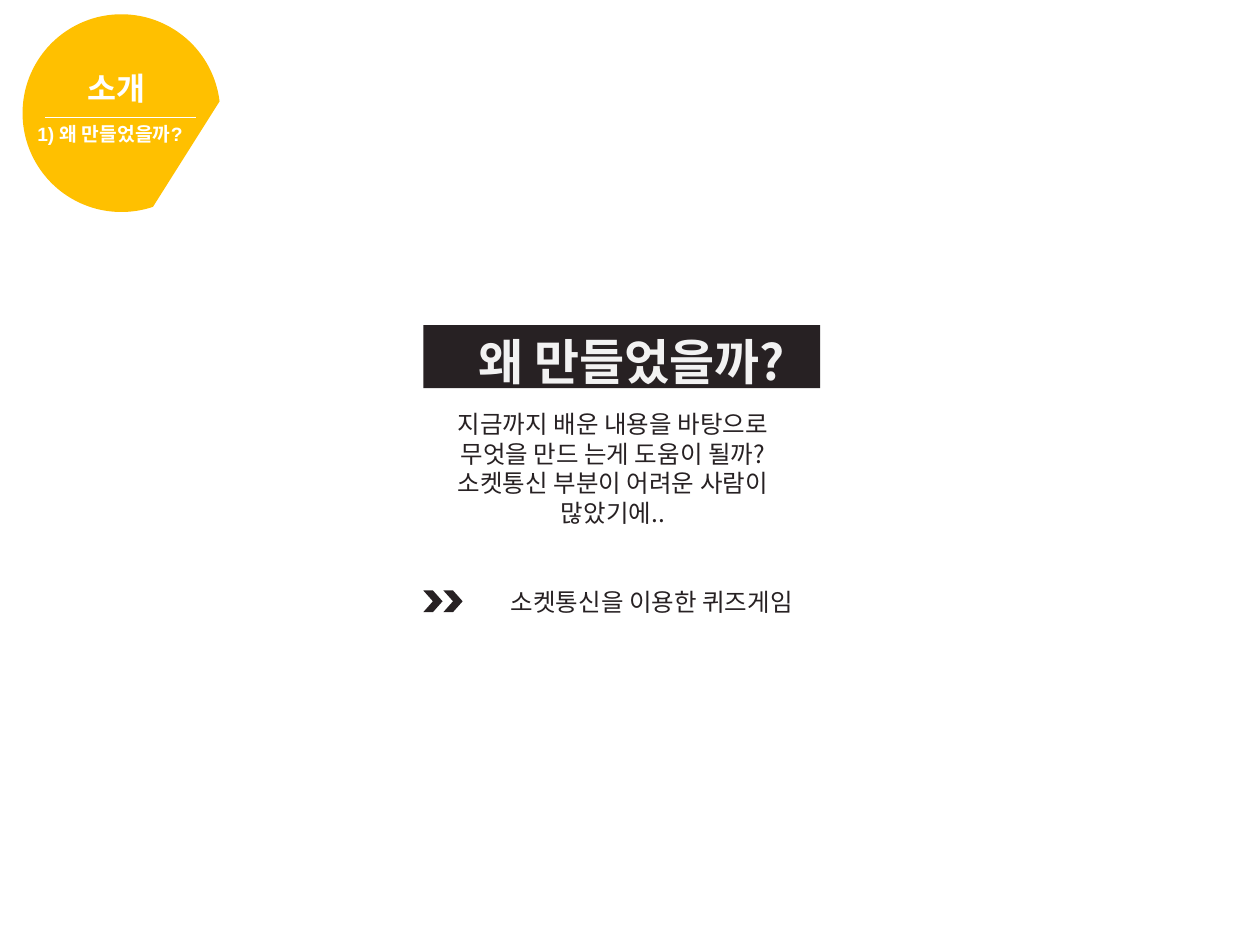
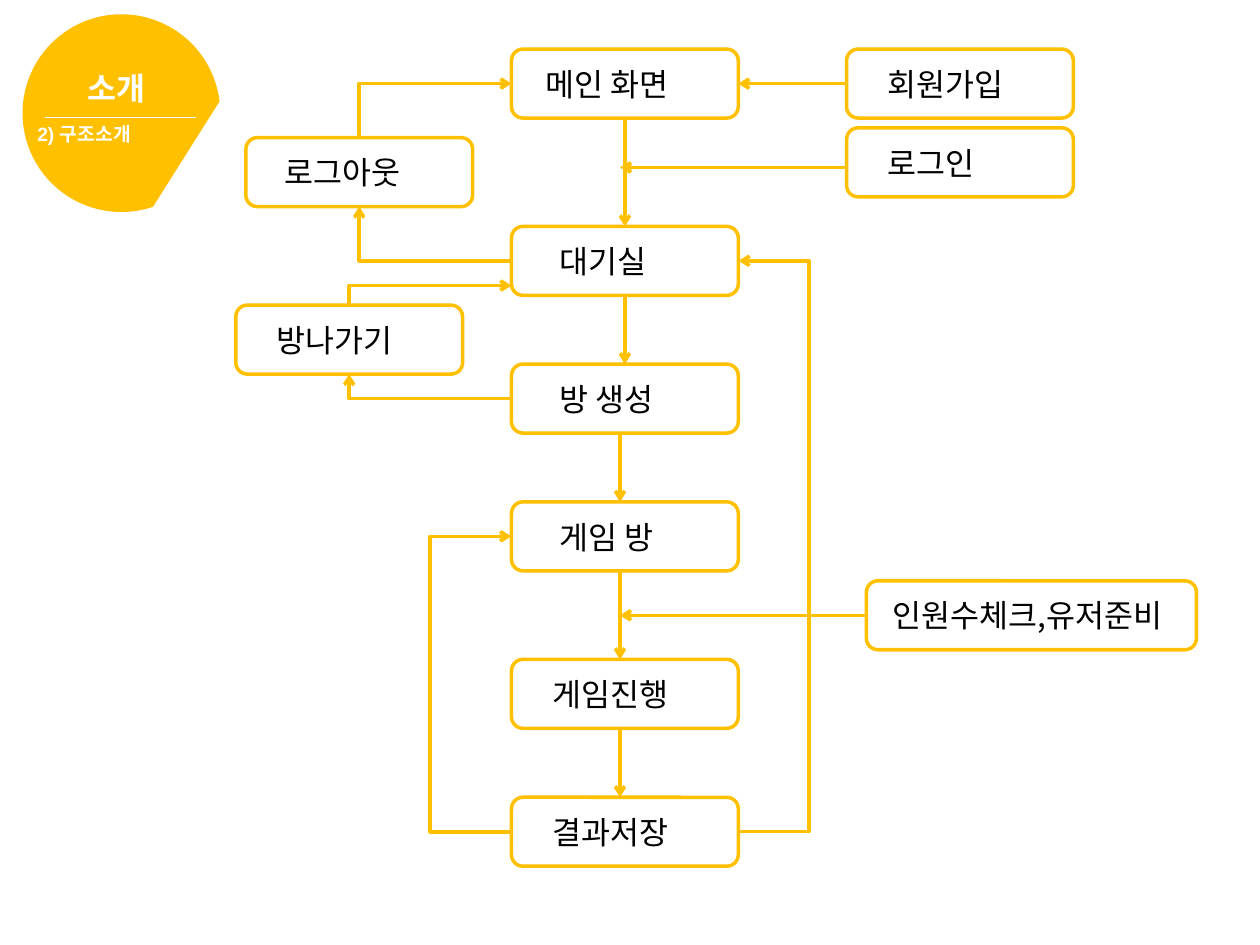
from lxml.etree import SubElement
from pptx import Presentation
from pptx.dml.color import RGBColor
from pptx.enum.shapes import MSO_CONNECTOR, MSO_SHAPE
from pptx.enum.text import MSO_AUTO_SIZE, PP_ALIGN
from pptx.oxml.ns import qn
from pptx.util import Pt

AMBER, INK, WHITE, BLACK, PALE = "FFC000", "272123", "FFFFFF", "000000", "F2F2F2"
KOREAN, LATIN = "Noto Sans CJK KR", "Arial"
TOP, LEFT, BOTTOM, RIGHT = range(4)
NODE_WIDTH, NODE_HEIGHT = 129.6, 39.4
LOOP_STEP = 0.17


def color(value):
    return RGBColor.from_string(value)


class SlideBuilder:
    def __init__(self):
        self.deck = Presentation()
        self.deck.slide_width, self.deck.slide_height = Pt(720), Pt(540)
        self.page = None

    def add_page(self, subtitle, subtitle_width):
        self.page = self.deck.slides.add_slide(self.deck.slide_layouts[6])
        badge = self.shape(MSO_SHAPE.CHORD, 12.9, 8.2, 113, 113, fill=AMBER)
        badge.adjustments[0], badge.adjustments[1] = 33.82, 202.9
        badge.rotation = 15
        self.text(["소개"], 42.7, 36, 51, 29, 18, WHITE, bold=True, wrap=False)
        self.text([subtitle], 14.2, 66.2, subtitle_width, 20.6, 11, WHITE,
                  font=LATIN, bold=True, wrap=False)
        self.line((25.5, 67.2), (111.8, 67.2), WHITE, 0.75)

    def shape(self, kind, left, top, width, height, fill=None, outline=None):
        shape = self.page.shapes.add_shape(kind, Pt(left), Pt(top), Pt(width), Pt(height))
        shape.shadow.inherit = False
        if fill:
            shape.fill.solid()
            shape.fill.fore_color.rgb = color(fill)
        else:
            shape.fill.background()
        if outline:
            shape.line.color.rgb = color(outline)
            shape.line.width = Pt(2)
        else:
            shape.line.fill.background()
        return shape

    def text(self, lines, left, top, width, height, size, ink, font=KOREAN,
             bold=False, wrap=True, align=PP_ALIGN.LEFT, indent=0):
        box = self.page.shapes.add_textbox(Pt(left), Pt(top), Pt(width), Pt(height))
        frame = box.text_frame
        frame.word_wrap = wrap
        frame.auto_size = MSO_AUTO_SIZE.SHAPE_TO_FIT_TEXT
        frame.margin_left = Pt(7.2 + indent)
        frame.text = "\n".join(lines)
        for para in frame.paragraphs:
            para.alignment = align
            para.font.size = Pt(size)
            para.font.bold = bold
            para.font.color.rgb = color(ink)
            para.font.name = font
            SubElement(para._p.pPr.find(qn("a:defRPr")), qn("a:ea"), typeface=KOREAN)

    def line(self, begin, end, ink=AMBER, width=2, kind=MSO_CONNECTOR.STRAIGHT, arrow=None):
        connector = self.page.shapes.add_connector(kind, *map(Pt, begin + end))
        connector.line.color.rgb = color(ink)
        connector.line.width = Pt(width)
        properties = connector._element.spPr
        if arrow:
            SubElement(properties.find(qn("a:ln")), qn("a:" + arrow), type="arrow")
        SubElement(properties, qn("a:effectLst"))
        return connector

    def arrow(self, begin, end, source=None, target=None):
        connector = self.line(begin, end, arrow="tailEnd")
        if source:
            connector.begin_connect(*source)
        if target:
            connector.end_connect(*target)

    def corner(self, begin, end, arrow):
        connector = self.line(begin, end, kind=MSO_CONNECTOR.ELBOW, arrow=arrow)
        connector._element.spPr.find(qn("a:prstGeom")).set("prst", "bentConnector2")

    def loop(self, x, begin_y, end_y, reach):
        step = LOOP_STEP if reach > 0 else -LOOP_STEP
        connector = self.line((x, begin_y), (x + step, end_y),
                              kind=MSO_CONNECTOR.ELBOW, arrow="tailEnd")
        guides = connector._element.spPr.find(qn("a:prstGeom")).get_or_add_avLst()
        SubElement(guides, qn("a:gd"), name="adj1", fmla=f"val {round(reach / step * 100000)}")

    def node(self, label, left, top, indent, width=NODE_WIDTH):
        box = self.shape(MSO_SHAPE.ROUNDED_RECTANGLE, left, top, width, NODE_HEIGHT, outline=AMBER)
        self.text([label], left, top + 5.4, width, 29, 18, BLACK, indent=indent)
        return box


def build_reason(builder):
    builder.add_page("1) 왜 만들었을까?", 104.4)
    builder.shape(MSO_SHAPE.RECTANGLE, 241.9, 185.8, 226.8, 36, fill=INK)
    builder.text(["왜 만들었을까?"], 253.4, 185.8, 215.3, 41, 28, PALE,
                 bold=True, align=PP_ALIGN.CENTER)
    builder.text(["지금까지 배운 내용을 바탕으로 무엇을 만드 는게 도움이 될까?",
                  "소켓통신 부분이 어려운 사람이 많았기에.."],
                 241.9, 230.4, 216.7, 75, 14, INK, align=PP_ALIGN.CENTER)
    builder.text(["소켓통신을 이용한 퀴즈게임"], 264.2, 331.9, 216.7, 24.5, 14, INK,
                 align=PP_ALIGN.CENTER)
    for left in (253.4, 241.9):
        builder.shape(MSO_SHAPE.CHEVRON, left, 337.4, 11, 12.4, fill=INK)


def build_structure(builder):
    builder.add_page("2) 구조소개", 73.4)
    column, side = 292.3, 483.8
    right = column + NODE_WIDTH
    center, flow = column + NODE_WIDTH / 2, 354.3
    half = NODE_HEIGHT / 2
    main_top, wait_top, room_top, game_top, play_top, save_top = (
        28.1, 129.4, 208.1, 286.8, 376.8, 455.6)
    main = builder.node("메인 화면", column, main_top, 12)
    wait = builder.node("대기실", column, wait_top, 20)
    room = builder.node("방 생성", column, room_top, 20)
    builder.node("게임 방", column, game_top, 20)
    builder.node("게임진행", column, play_top, 16)
    builder.node("결과저장", column, save_top, 16)
    join = builder.node("회원가입", side, main_top, 16)
    builder.node("로그인", side, 73.1, 16)
    check = builder.node("인원수체크,유저준비", 495.1, 331.9, 7.9, 188.6)

    for upper, lower, start, stop in ((main, wait, main_top, wait_top),
                                      (wait, room, wait_top, room_top)):
        builder.arrow((center, start + NODE_HEIGHT), (center, stop),
                      (upper, BOTTOM), (lower, TOP))
    for start, stop in ((room_top, game_top), (game_top, play_top), (play_top, save_top)):
        builder.arrow((flow, start + NODE_HEIGHT), (flow, stop))
    builder.arrow((side, main_top + half), (right, main_top + half), (join, LEFT), (main, RIGHT))
    builder.arrow((side, 95.7), (flow, 95.7))
    builder.arrow((495.1, 331.9 + half), (flow, 331.9 + half), (check, LEFT))

    for label, left, top, indent, from_y, to_y in (
            ("로그아웃", 140.5, 78.7, 15, wait_top + half, main_top + half),
            ("방나가기", 134.8, 174.4, 16, room_top + half, 163.2)):
        builder.node(label, left, top, indent)
        middle = left + NODE_WIDTH / 2
        builder.corner((column, from_y), (middle, top + NODE_HEIGHT), "tailEnd")
        builder.corner((column, to_y), (middle, top), "headEnd")
    builder.loop(column, save_top + half, game_top + half, -46.4)
    builder.loop(right, save_top + half, wait_top + half, 40.4)


def main():
    builder = SlideBuilder()
    build_reason(builder)
    build_structure(builder)
    builder.deck.save("out.pptx")


if __name__ == "__main__":
    main()
